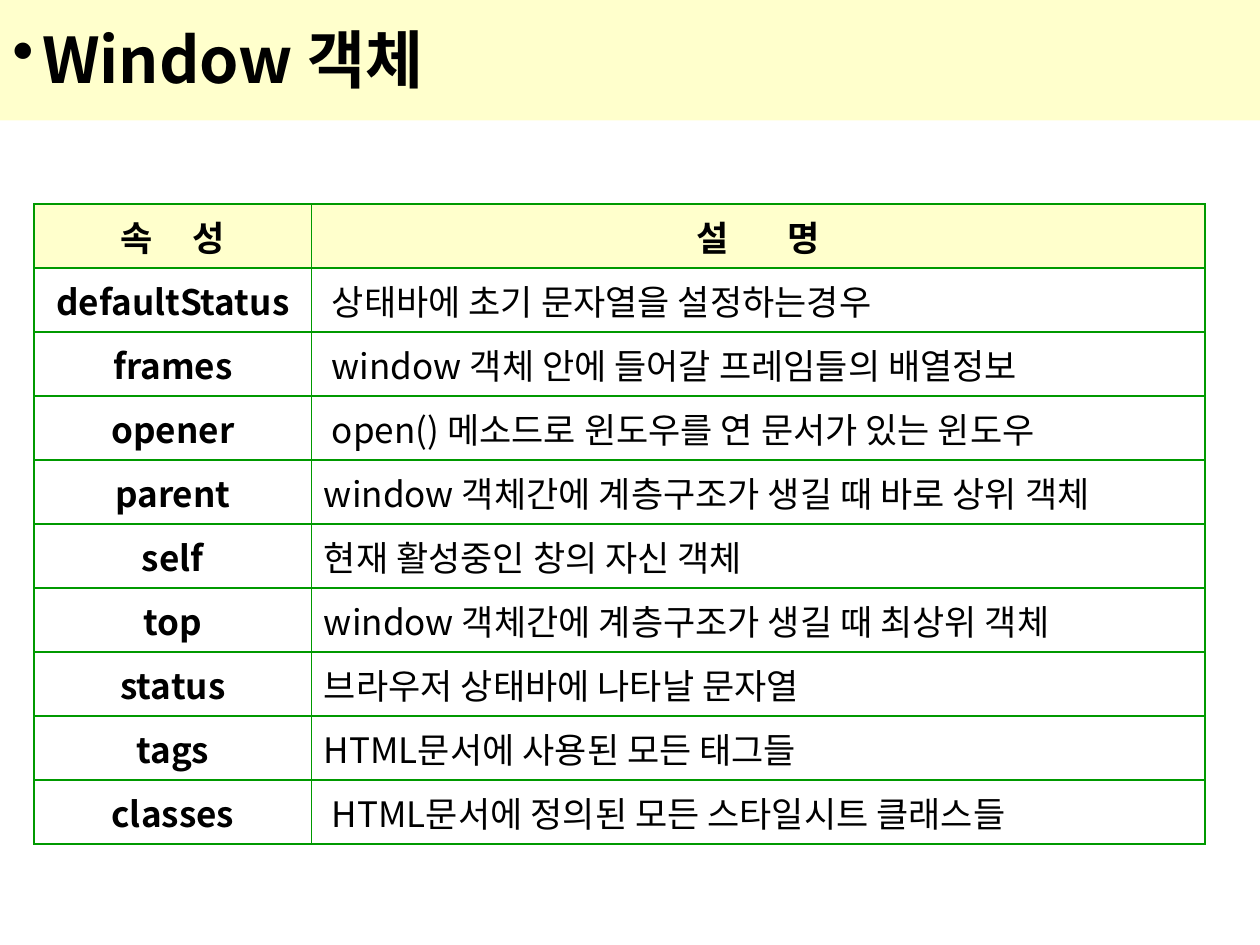
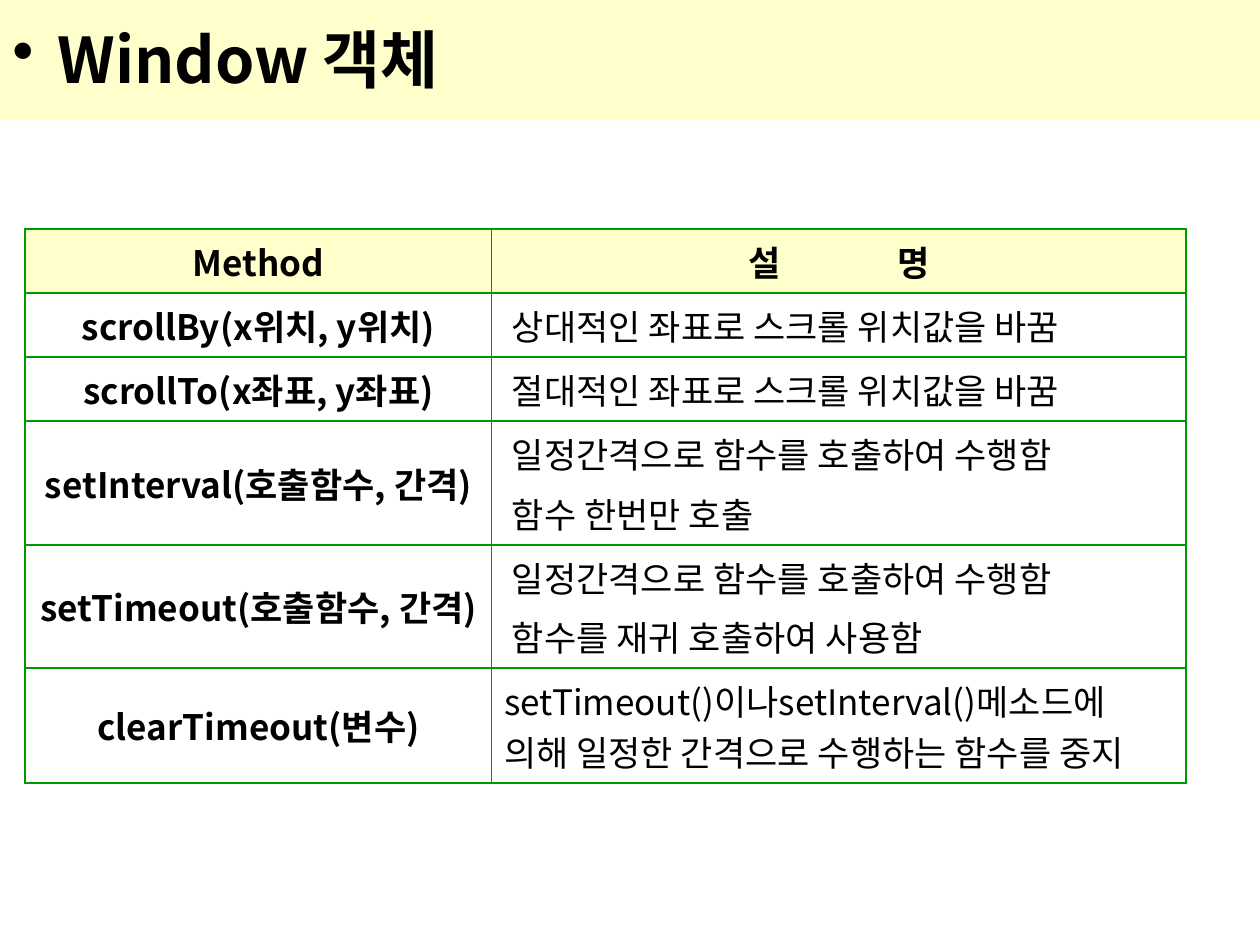
from dataclasses import dataclass

from lxml import etree
from pptx import Presentation
from pptx import util as u
from pptx.dml.color import RGBColor
from pptx.enum import shapes, text
from pptx.oxml import ns


@dataclass(frozen=True)
class Theme:
    font: str = "Noto Sans CJK KR"
    ink: RGBColor = RGBColor(0, 0, 0)
    band: RGBColor = RGBColor(0xFF, 0xFF, 0xCC)
    border: RGBColor = RGBColor(0x00, 0x99, 0x00)
    border_width: u.Pt = u.Pt(1.08)
    title_size: u.Pt = u.Pt(36)
    cell_size: u.Pt = u.Pt(20)
    line_gap: u.Pt = u.Pt(5)
    indent: u.Cm = u.Cm(0.16)


THEME = Theme()
CENTER, LEFT = text.PP_ALIGN.CENTER, text.PP_ALIGN.LEFT
ROW_HEIGHT = 1.29

# Each row: name, description lines, whether the description is indented
PROPERTIES = [
    ("defaultStatus", ["상태바에 초기 문자열을 설정하는경우"], True),
    ("frames", ["window 객체 안에 들어갈 프레임들의 배열정보"], True),
    ("opener", ["open() 메소드로 윈도우를 연 문서가 있는 윈도우"], True),
    ("parent", ["window 객체간에 계층구조가 생길 때 바로 상위 객체"], False),
    ("self", ["현재 활성중인 창의 자신 객체"], False),
    ("top", ["window 객체간에 계층구조가 생길 때 최상위 객체"], False),
    ("status", ["브라우저 상태바에 나타날 문자열"], False),
    ("tags", ["HTML문서에 사용된 모든 태그들"], False),
    ("classes", ["HTML문서에 정의된 모든 스타일시트 클래스들"], True),
]
METHODS = [
    ("scrollBy(x위치, y위치)", ["상대적인 좌표로 스크롤 위치값을 바꿈"], True),
    ("scrollTo(x좌표, y좌표)", ["절대적인 좌표로 스크롤 위치값을 바꿈"], True),
    ("setInterval(호출함수, 간격)",
     ["일정간격으로 함수를 호출하여 수행함", "함수 한번만 호출"], True),
    ("setTimeout(호출함수, 간격)",
     ["일정간격으로 함수를 호출하여 수행함", "함수를 재귀 호출하여 사용함"], True),
    ("clearTimeout(변수)",
     ["setTimeout()이나setInterval()메소드에 의해 일정한 간격으로 수행하는 함수를 중지"], False),
]


def set_all(target, values):
    for name, value in values.items():
        setattr(target, name, value)


def add_element(parent, tag, **attributes):
    return etree.SubElement(parent, ns.qn(tag), attributes)


def add_run(paragraph, words, size, bold):
    run = paragraph.add_run()
    run.text = words
    set_all(run.font, {"size": size, "bold": bold, "name": THEME.font})
    run.font.color.rgb = THEME.ink
    add_element(run.font._element, "a:ea", typeface=THEME.font)
    return run


def add_title_band(slide, title, hang):
    """Add the top band; hang is the distance in cm from bullet to text."""
    band = slide.shapes.add_shape(
        shapes.MSO_SHAPE.RECTANGLE, 0, u.Cm(-0.08), u.Cm(25.4), u.Cm(2.51))
    band.shadow.inherit = False
    band.fill.solid()
    band.fill.fore_color.rgb = THEME.band
    band.line.fill.background()
    set_all(band.text_frame, {
        "word_wrap": True, "vertical_anchor": text.MSO_ANCHOR.MIDDLE})

    paragraph = band.text_frame.paragraphs[0]
    paragraph.alignment = LEFT
    properties = paragraph._p.get_or_add_pPr()
    properties.set("marL", str(u.Cm(hang)))
    properties.set("indent", str(-u.Cm(hang)))
    bullet_color = add_element(properties, "a:buClr")
    add_element(bullet_color, "a:srgbClr", val=str(THEME.ink))
    add_element(properties, "a:buChar", char="•")
    add_run(paragraph, title, THEME.title_size, True)


def format_cell(cell, fill=None):
    set_all(cell, {
        "vertical_anchor": text.MSO_ANCHOR.MIDDLE,
        "margin_left": u.Cm(0.25), "margin_right": u.Cm(0.25),
        "margin_top": u.Cm(0.13), "margin_bottom": u.Cm(0.13)})
    properties = cell._tc.get_or_add_tcPr()
    for side in "LRTB":
        line = add_element(properties, f"a:ln{side}", w=str(THEME.border_width))
        solid = add_element(line, "a:solidFill")
        add_element(solid, "a:srgbClr", val=str(THEME.border))
    if fill is None:
        cell.fill.background()
    else:
        cell.fill.solid()
        cell.fill.fore_color.rgb = fill


def fill_header(cell, words, gap):
    """Write a header whose space is widened by gap points."""
    format_cell(cell, THEME.band)
    paragraph = cell.text_frame.paragraphs[0]
    paragraph.alignment = CENTER
    for part in filter(None, words.partition(" ")):
        run = add_run(paragraph, part, THEME.cell_size, True)
        if part == " ":
            run.font._element.set("spc", str(gap * 100))


def fill_body(cell, lines, alignment, bold, indented=False):
    format_cell(cell)
    frame = cell.text_frame
    for index, line in enumerate(lines):
        paragraph = frame.add_paragraph() if index else frame.paragraphs[0]
        paragraph.alignment = alignment
        if index:
            paragraph.space_before = THEME.line_gap
        if indented:
            paragraph._p.get_or_add_pPr().set("marL", str(THEME.indent))
        add_run(paragraph, line, THEME.cell_size, bold)


def add_reference_table(slide, left, top, widths, heights, headers, rows):
    frame = slide.shapes.add_table(
        len(heights), len(widths), u.Cm(left), u.Cm(top),
        u.Cm(sum(widths)), u.Cm(sum(heights)))
    table = frame.table
    set_all(table, {"first_row": False, "horz_banding": False})
    for column, width in zip(table.columns, widths):
        column.width = u.Cm(width)
    for row, height in zip(table.rows, heights):
        row.height = u.Cm(height)
    for column, (words, gap) in enumerate(headers):
        fill_header(table.cell(0, column), words, gap)
    for row, (name, lines, indented) in enumerate(rows, start=1):
        fill_body(table.cell(row, 0), [name], CENTER, True)
        fill_body(table.cell(row, 1), lines, LEFT, False, indented)


def main():
    presentation = Presentation()
    set_all(presentation, {"slide_width": u.Cm(25.4), "slide_height": u.Cm(19.05)})
    blank = presentation.slide_layouts[6]

    slide = presentation.slides.add_slide(blank)
    add_title_band(slide, "Window 객체", hang=0.6)
    add_reference_table(
        slide, 0.69, 4.11, [5.59, 18.01], [ROW_HEIGHT] * (len(PROPERTIES) + 1),
        [("속 성", 18), ("설 명", 29)], PROPERTIES)

    slide = presentation.slides.add_slide(blank)
    add_title_band(slide, "Window 객체", hang=0.91)
    add_reference_table(
        slide, 0.51, 4.62, [9.4, 14], [ROW_HEIGHT] * 3 + [2.49, 2.49, 2.31],
        [("Method", 0), ("설 명", 62)], METHODS)

    presentation.save("out.pptx")


if __name__ == "__main__":
    main()
